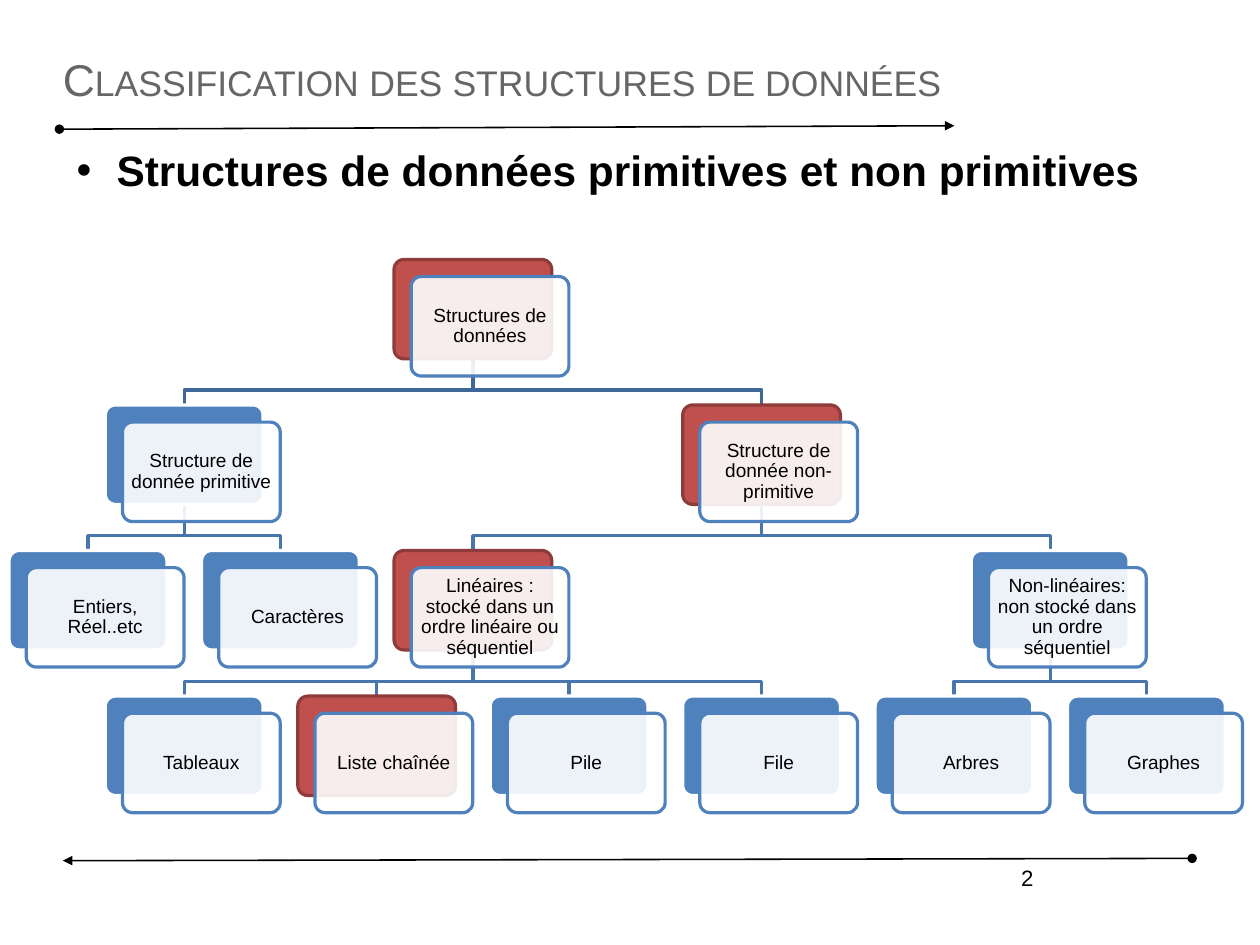
import pptx
import pptx.util
import pptx.dml.color
import pptx.enum.shapes
import pptx.enum.text
import pptx.oxml.ns
from lxml import etree

TITLE = "Classification des structures de données"
HEADING = "Structures de données primitives et non primitives"
PAGE = "2"
NODES = {
    "root": ("Structures de données", 0, 4, None, True),
    "primitive": ("Structure de donnée primitive", 1, 1, "root", False),
    "integers": ("Entiers, Réel..etc", 2, 0, "primitive", False),
    "characters": ("Caractères", 2, 2, "primitive", False),
    "composite": ("Structure de donnée non-primitive", 1, 7, "root", True),
    "linear": ("Linéaires : stocké dans un ordre linéaire ou séquentiel", 2, 4, "composite", True),
    "arrays": ("Tableaux", 3, 1, "linear", False),
    "linked": ("Liste chaînée", 3, 3, "linear", True),
    "stack": ("Pile", 3, 5, "linear", False),
    "queue": ("File", 3, 7, "linear", False),
    "nonlinear": ("Non-linéaires: non stocké dans un ordre séquentiel", 2, 10, "composite", False),
    "trees": ("Arbres", 3, 9, "nonlinear", False),
    "graphs": ("Graphes", 3, 11, "nonlinear", False),
}
RULES = [((0.52, 1.13), (8.35, 1.1)), ((10.43, 7.51), (0.55, 7.53))]

COLORS = {
    "black": "000000", "white": "FFFFFF", "gray": "666666",
    "blue": "4F81BD", "red": "C0504D", "dark red": "8E3B39",
    "top link": "3F6797", "link": "4875AC",
}
WIDTH_CM, HEIGHT_CM = 28, 21
TREE_LEFT, TREE_TOP = 0.08, 2.27
COLUMN = (9.34 - TREE_LEFT) / 11
ROW = (6.09 - TREE_TOP) / 3
BOX_WIDTH, BOX_HEIGHT = 1.38, 0.87
OFFSET_X, OFFSET_Y = 0.15, 0.15
ELBOW = 0.13

inches = pptx.util.Inches
ALIGN = pptx.enum.text.PP_ALIGN
ANCHOR = pptx.enum.text.MSO_ANCHOR


def rgb(name):
    return pptx.dml.color.RGBColor.from_string(COLORS[name])


def add_xml(parent, tag, **attributes):
    element = etree.SubElement(parent, pptx.oxml.ns.qn(tag))
    for name, value in attributes.items():
        element.set(name, str(value))
    return element


def write_text(shape, text, size=12, color="black", bold=False, small_caps=False,
               align=ALIGN.LEFT, anchor=ANCHOR.TOP, insets=(0, 0),
               line_spacing=None, space_before=0, bullet=None):
    frame = shape.text_frame
    frame.word_wrap = True
    frame.vertical_anchor = anchor
    frame.margin_left = frame.margin_right = inches(insets[0])
    frame.margin_top = frame.margin_bottom = inches(insets[1])
    paragraph = frame.paragraphs[0]
    paragraph.alignment = align
    paragraph.space_before = pptx.util.Pt(space_before)
    if line_spacing:
        paragraph.line_spacing = line_spacing
    if bullet:
        properties = paragraph._p.get_or_add_pPr()
        properties.set("marL", str(inches(0.47)))
        properties.set("indent", str(inches(-0.35)))
        add_xml(properties, "a:buFont", typeface="Arial")
        add_xml(properties, "a:buChar", char=bullet)
    run = paragraph.add_run()
    run.text = text
    run.font.name = "Arial"
    run.font.size = pptx.util.Pt(size)
    run.font.bold = bold
    run.font.color.rgb = rgb(color)
    if small_caps:
        run._r.get_or_add_rPr().set("cap", "small")


def add_text_box(slide, left, top, width, height, text, **text_format):
    box = slide.shapes.add_textbox(*map(inches, (left, top, width, height)))
    write_text(box, text, **text_format)
    return box


def add_rule(slide, start, end):
    rule = slide.shapes.add_connector(
        pptx.enum.shapes.MSO_CONNECTOR.STRAIGHT, *map(inches, start + end))
    rule.line.color.rgb = rgb("black")
    rule.line.width = pptx.util.Pt(1)
    line = rule.line._get_or_add_ln()
    add_xml(line, "a:headEnd", type="oval")
    add_xml(line, "a:tailEnd", type="triangle")
    add_xml(rule._element.spPr, "a:effectLst")


def position(row, column):
    return TREE_LEFT + column * COLUMN, TREE_TOP + row * ROW


def add_link(slide, parent, child):
    parent_left, parent_top = position(*parent)
    child_left, child_top = position(*child)
    start_x = parent_left + BOX_WIDTH / 2
    end_x = child_left + BOX_WIDTH / 2
    elbow_y = child_top - ELBOW
    builder = slide.shapes.build_freeform(
        inches(start_x), inches(parent_top + BOX_HEIGHT))
    corners = [(start_x, elbow_y), (end_x, elbow_y), (end_x, child_top)]
    builder.add_line_segments([tuple(map(inches, corner)) for corner in corners], close=False)
    link = builder.convert_to_shape()
    link.shadow.inherit = False
    link.fill.background()
    link.line.color.rgb = rgb("top link" if parent[0] == 0 else "link")
    link.line.width = pptx.util.Pt(2)


def add_card(slide, left, top, fill, line):
    card = slide.shapes.add_shape(
        pptx.enum.shapes.MSO_SHAPE.ROUNDED_RECTANGLE,
        *map(inches, (left, top, BOX_WIDTH, BOX_HEIGHT)))
    card.adjustments[0] = 0.1
    card.shadow.inherit = False
    card.fill.solid()
    card.fill.fore_color.rgb = rgb(fill)
    card.line.color.rgb = rgb(line)
    card.line.width = pptx.util.Pt(2)
    return card


def add_node(slide, text, row, column, highlighted):
    left, top = position(row, column)
    add_card(slide, left, top, *(("red", "dark red") if highlighted else ("blue", "white")))
    front = add_card(slide, left + OFFSET_X, top + OFFSET_Y, "white", "blue")
    fill_color = front._element.spPr.find(
        pptx.oxml.ns.qn("a:solidFill") + "/" + pptx.oxml.ns.qn("a:srgbClr"))
    add_xml(fill_color, "a:alpha", val=90000)
    write_text(front, text, align=ALIGN.CENTER, anchor=ANCHOR.MIDDLE,
               insets=(0.05, 0.05), line_spacing=0.9)


def main():
    presentation = pptx.Presentation()
    presentation.slide_width = pptx.util.Cm(WIDTH_CM)
    presentation.slide_height = pptx.util.Cm(HEIGHT_CM)
    slide = presentation.slides.add_slide(presentation.slide_layouts[6])

    for start, end in RULES:
        add_rule(slide, start, end)
    add_text_box(slide, 6.57, 7.51, 2.57, 0.57, PAGE, size=14,
                 align=ALIGN.RIGHT, insets=(0.1, 0.05))
    add_text_box(slide, 0.55, 0.33, 9.92, 0.72, TITLE, size=28, color="gray",
                 small_caps=True, anchor=ANCHOR.MIDDLE)
    heading = add_text_box(slide, 0.55, 1.26, 9.91, 2.19, HEADING, size=26.7, bold=True,
                           space_before=9.4, bullet="•")
    heading.fill.solid()
    heading.fill.fore_color.rgb = rgb("white")

    for text, row, column, parent, highlighted in NODES.values():
        if parent:
            add_link(slide, NODES[parent][1:3], (row, column))
    for text, row, column, parent, highlighted in NODES.values():
        add_node(slide, text, row, column, highlighted)

    presentation.save("out.pptx")


if __name__ == "__main__":
    main()
